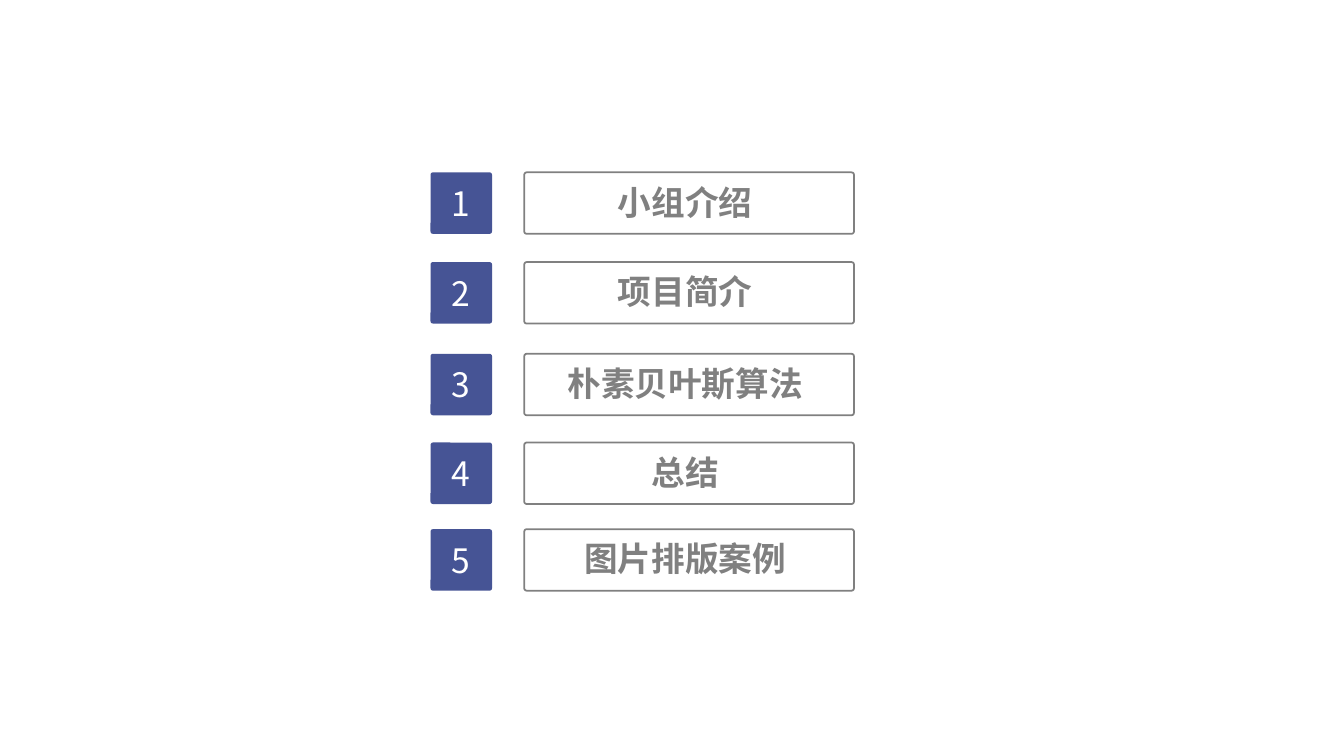
from pptx import Presentation
from pptx.dml.color import RGBColor
from pptx.enum.shapes import MSO_SHAPE
from pptx.enum.text import MSO_ANCHOR, PP_ALIGN
from pptx.util import Inches, Pt

FONT = "Noto Sans CJK SC"
BLUE, GRAY, WHITE = "465495", "808080", "FFFFFF"
ROW_H, LABEL_DX, LABEL_W = 0.61, 0.93, 3.27
ENTRIES = [
    ("小组介绍", 1.71),
    ("项目简介", 2.6),
    ("朴素贝叶斯算法", 3.51),
    ("总结", 4.39),
    ("图片排版案例", 5.25),
]


def rgb(value):
    """Return the colour for a hex string."""
    return RGBColor.from_string(value)


def add_box(s, left, top, width, text, fill, color, line=None, bold=False,
            right_inset=0, bottom_inset=0):
    """Add a slightly rounded box with one centred line of text."""
    sp = s.shapes.add_shape(MSO_SHAPE.ROUNDED_RECTANGLE, Inches(left), Inches(top),
                            Inches(width), Inches(ROW_H))
    sp.adjustments[0] = 0.04
    sp.shadow.inherit = False
    sp.fill.solid()
    sp.fill.fore_color.rgb = rgb(fill)
    if line:
        sp.line.color.rgb = rgb(line)
        sp.line.width = Pt(1.25)
    else:
        sp.line.fill.background()
    tf = sp.text_frame
    tf.word_wrap = False
    tf.vertical_anchor = MSO_ANCHOR.MIDDLE
    tf.margin_left = tf.margin_top = 0
    tf.margin_right = Inches(right_inset)
    tf.margin_bottom = Inches(bottom_inset)
    p = tf.paragraphs[0]
    p.text = text
    p.alignment = PP_ALIGN.CENTER
    p.font.name = FONT
    p.font.size = Pt(24)
    p.font.bold = bold
    p.font.color.rgb = rgb(color)


def add_entry(s, left, top, number, label):
    """Add one contents row: a number square and its label box."""
    add_box(s, left + LABEL_DX, top, LABEL_W, label, WHITE, GRAY, line=GRAY,
            bold=True, right_inset=0.08, bottom_inset=0.03)
    add_box(s, left, top, ROW_H, str(number), BLUE, WHITE)


def add_contents_slide(prs, left):
    """Add the slide that lists all entries."""
    s = prs.slides.add_slide(prs.slide_layouts[6])
    for number, (label, top) in enumerate(ENTRIES, 1):
        add_entry(s, left, top, number, label)


def main():
    """Build and save the presentation."""
    prs = Presentation()
    prs.slide_width, prs.slide_height = Inches(13.33), Inches(7.5)
    add_contents_slide(prs, 4.27)
    prs.save("out.pptx")


if __name__ == "__main__":
    main()
